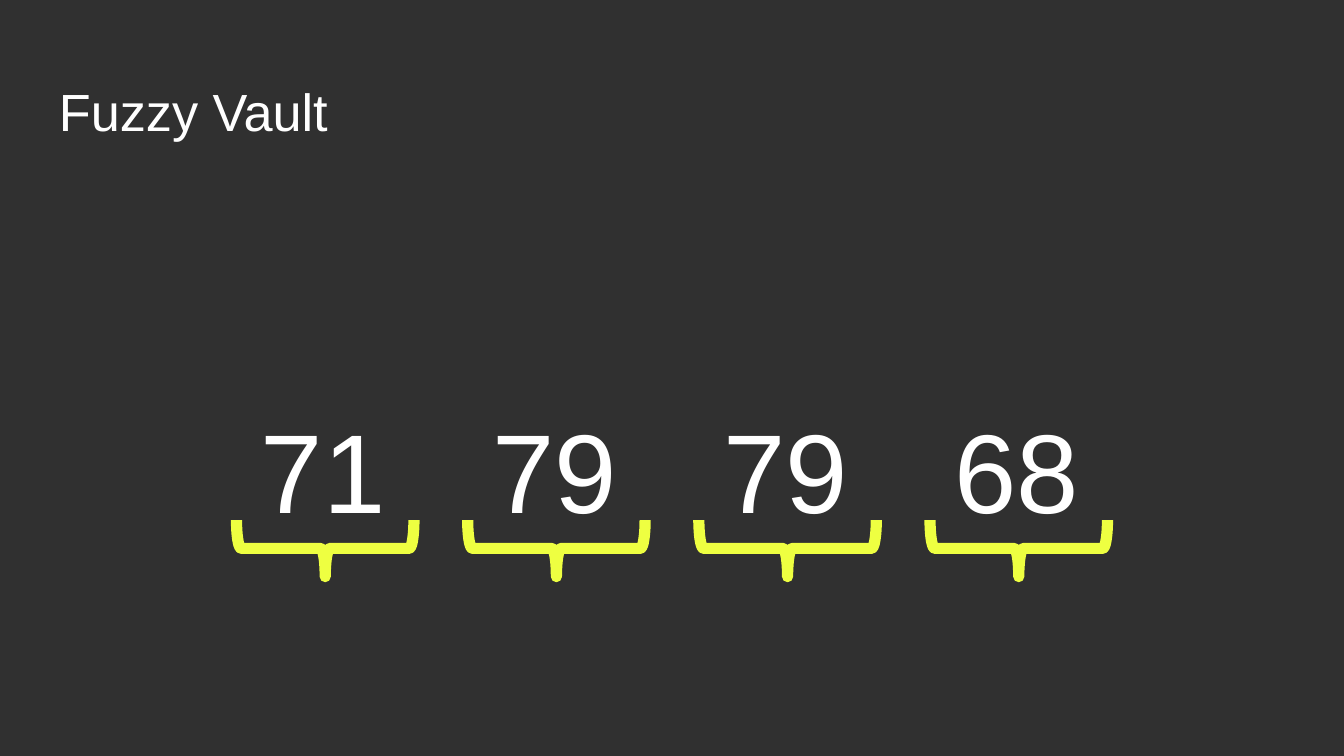
from dataclasses import dataclass

from pptx import Presentation
from pptx.dml.color import RGBColor
from pptx.enum.shapes import MSO_SHAPE
from pptx.enum.text import MSO_ANCHOR, PP_ALIGN
from pptx.slide import Slide
from pptx.util import Inches, Pt

PAGE_WIDTH = 10
PAGE_HEIGHT = PAGE_WIDTH * 9 / 16
BACKGROUND, WHITE, YELLOW = "303030", "FFFFFF", "EEFF41"
FONT = "Arial"
INSET = 0.1

# Grid of the four numbers
FIRST_COLUMN, COLUMN_STEP = 1.75, 1.72
NUMBERS = ("71", "79", "79", "68")


@dataclass(frozen=True)
class Area:
    left: float
    top: float
    width: float
    height: float

    def lengths(self) -> tuple:
        return tuple(map(Inches, (self.left, self.top, self.width, self.height)))


def colour(value: str) -> RGBColor:
    return RGBColor.from_string(value)


def add_text(page: Slide, text: str, area: Area, *, size: float,
             align: PP_ALIGN = PP_ALIGN.LEFT) -> None:
    frame = page.shapes.add_textbox(*area.lengths()).text_frame
    frame.word_wrap = True
    frame.vertical_anchor = MSO_ANCHOR.TOP
    frame.margin_left = frame.margin_right = Inches(INSET)
    frame.margin_top = frame.margin_bottom = Inches(INSET)
    para = frame.paragraphs[0]
    para.alignment = align
    span = para.add_run()
    span.text = text
    span.font.name = FONT
    span.font.size = Pt(size)
    span.font.color.rgb = colour(WHITE)


def add_brace(page: Slide, area: Area) -> None:
    """Add a brace that opens upwards; the area is the one before rotation."""
    brace = page.shapes.add_shape(MSO_SHAPE.LEFT_BRACE, *area.lengths())
    brace.rotation = 270
    brace.adjustments[0] = 0.083
    brace.adjustments[1] = 0.5
    brace.shadow.inherit = False
    brace.fill.background()
    brace.line.color.rgb = colour(YELLOW)
    brace.line.width = Pt(6)


def main() -> None:
    deck = Presentation()
    deck.slide_width, deck.slide_height = Inches(PAGE_WIDTH), Inches(PAGE_HEIGHT)
    page = deck.slides.add_slide(deck.slide_layouts[6])
    page.background.fill.solid()
    page.background.fill.fore_color.rgb = colour(BACKGROUND)

    # Title
    add_text(page, "Fuzzy Vault", Area(0.34, 0.49, 9.32, 0.63), size=28)

    # Numbers, each with a brace below
    for column, number in enumerate(NUMBERS):
        left = FIRST_COLUMN + column * COLUMN_STEP
        add_brace(page, Area(left + 0.46, 3.42, 0.42, 1.32))
        add_text(page, number, Area(left, 2.89, 1.31, 0.98),
                 size=60, align=PP_ALIGN.CENTER)

    deck.save("out.pptx")


if __name__ == "__main__":
    main()
